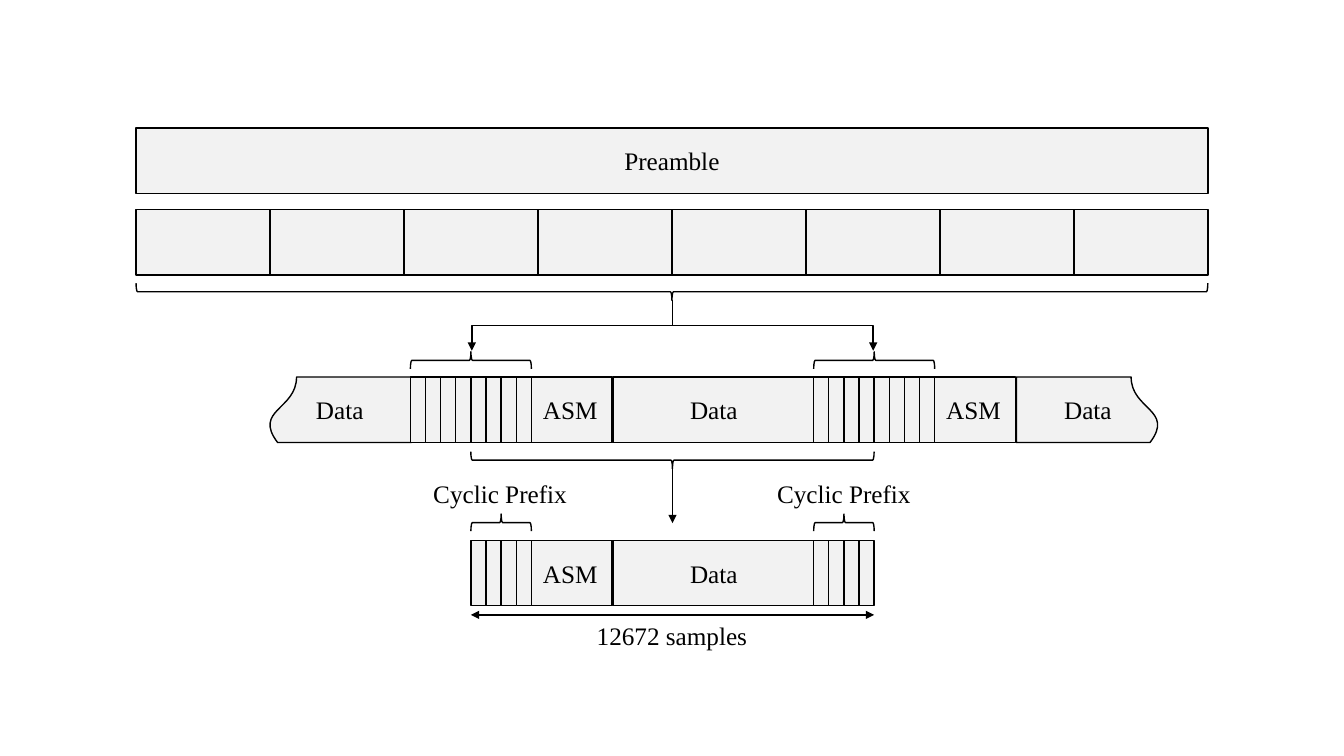
import pptx
import pptx.util
import pptx.dml.color
import pptx.enum.shapes
import pptx.enum.text
import pptx.oxml
import pptx.oxml.ns

Inches = pptx.util.Inches
Shapes = pptx.enum.shapes.MSO_SHAPE
Connectors = pptx.enum.shapes.MSO_CONNECTOR
COLORS = {"block": "F2F2F2", "ink": "000000"}
FONT = "Times New Roman"
BLOCK_HEIGHT = 0.65
CELL_WIDTH = 0.15
BRACE_DEPTH = 0.17
CENTER = 6.67
STREAM_TOP = 3.74
SYMBOL_TOP = 5.36


def color(name):
    """Return a named colour."""
    return pptx.dml.color.RGBColor.from_string(COLORS[name])


def set_line(item):
    """Give a shape or connector the thin dark line."""
    item.line.color.rgb = color("ink")
    item.line.width = pptx.util.Pt(1)


def write(shape, text, size=18, wrap=True):
    """Put one centred line of text in a shape."""
    frame = shape.text_frame
    frame.word_wrap = wrap
    para = frame.paragraphs[0]
    para.alignment = pptx.enum.text.PP_ALIGN.CENTER
    span = para.add_run()
    span.text = text
    span.font.size = pptx.util.Pt(size)
    span.font.name = FONT
    span.font.color.rgb = color("ink")


def add_shape(page, kind, left, top, width, height, filled=True):
    """Add an outlined preset shape."""
    shape = page.shapes.add_shape(kind, Inches(left), Inches(top), Inches(width), Inches(height))
    shape.shadow.inherit = False
    if filled:
        shape.fill.solid()
        shape.fill.fore_color.rgb = color("block")
    else:
        shape.fill.background()
    set_line(shape)
    return shape


def add_turned(page, kind, left, top, width, height, rotation, filled=True):
    """Add a quarter-turned shape that covers the given area."""
    shape = add_shape(page, kind, left + (width - height) / 2, top + (height - width) / 2,
                      height, width, filled)
    shape.rotation = rotation
    return shape


def add_block(page, left, top, width, text=""):
    """Add a block of the frame, with a label if there is one."""
    block = add_shape(page, Shapes.RECTANGLE, left, top, width, BLOCK_HEIGHT)
    if text:
        block.text_frame.vertical_anchor = pptx.enum.text.MSO_ANCHOR.MIDDLE
        write(block, text)


def add_cells(page, left, top, count, width=CELL_WIDTH):
    """Add a run of equal empty blocks."""
    for index in range(count):
        add_block(page, left + index * width, top, width)


def add_brace(page, left, top, width, points_up):
    """Add a horizontal brace."""
    add_turned(page, Shapes.LEFT_BRACE, left, top, width, BRACE_DEPTH,
               90 if points_up else 270, filled=False)


def add_torn_block(page, left, width, label_left, at_start):
    """Add a data block whose outer edge is wavy."""
    block = add_turned(page, Shapes.FLOWCHART_DOCUMENT, left, STREAM_TOP, width, BLOCK_HEIGHT,
                       90 if at_start else 270)
    if at_start:
        block._element.spPr.xfrm.set("flipH", "1")
    add_label(page, "Data", label_left, 3.86, 0.68)


def add_label(page, text, left, top, width):
    """Add a free label."""
    box = page.shapes.add_textbox(Inches(left), Inches(top), Inches(width), Inches(0.4))
    write(box, text, wrap=False)


def add_arrow(page, start, end, kind=Connectors.STRAIGHT, both=False):
    """Add a connector with a triangle at its end, or at both ends."""
    arrow = page.shapes.add_connector(kind, *(Inches(value) for value in (*start, *end)))
    set_line(arrow)
    line = arrow.line._get_or_add_ln()
    for name in ("headEnd", "tailEnd") if both else ("tailEnd",):
        head = line.makeelement(pptx.oxml.ns.qn("a:" + name), {"type": "triangle"})
        line.append(head)
    properties = arrow._element.spPr
    properties.append(properties.makeelement(pptx.oxml.ns.qn("a:effectLst"), {}))
    return arrow


def add_drop_arrow(page, start, end):
    """Add an elbow arrow that leaves and arrives vertically."""
    middle_x, middle_y = (start[0] + end[0]) / 2, (start[1] + end[1]) / 2
    half_span = abs(end[0] - start[0]) / 2
    goes_left = end[0] < start[0]
    half_drop = (end[1] - start[1]) / 2 * (1 if goes_left else -1)
    arrow = add_arrow(page, (middle_x - half_drop, middle_y - half_span),
                      (middle_x + half_drop, middle_y + half_span), Connectors.ELBOW)
    arrow._element.spPr.xfrm.set("rot", str((90 if goes_left else 270) * 60000))


def add_preamble(page):
    """Draw the preamble and its eight parts."""
    left, width, parts = 1.35, 10.63, 8
    add_cells(page, left, 2.08, parts, width / parts)
    add_block(page, left, 1.27, width, "Preamble")
    add_brace(page, left, 2.81, width, points_up=False)


def add_stream(page):
    """Draw the stream of preambles, markers and data."""
    for left in (5.24, 9.24):
        add_block(page, left, STREAM_TOP, 0.83, "ASM")
    add_block(page, 6.08, STREAM_TOP, 2, "Data")
    add_torn_block(page, 10.08, 1.42, 10.45, at_start=False)
    add_torn_block(page, 2.66, 1.42, 3.03, at_start=True)
    for left, tip in ((4.07, 4.68), (8.07, 8.66)):
        add_cells(page, left, STREAM_TOP, 8)
        add_brace(page, left, 3.49, 8 * CELL_WIDTH, points_up=True)
        add_drop_arrow(page, (CENTER, 2.98), (tip, 3.48))
    add_brace(page, 4.67, 4.48, 4, points_up=False)


def add_symbol(page):
    """Draw one symbol with its cyclic prefixes and length."""
    add_block(page, 5.24, SYMBOL_TOP, 0.83, "ASM")
    add_block(page, 6.08, SYMBOL_TOP, 2, "Data")
    for left, label_left in ((4.67, 4.19), (8.07, 7.6)):
        add_cells(page, left, SYMBOL_TOP, 4)
        add_brace(page, left, 5.1, 4 * CELL_WIDTH, points_up=True)
        add_label(page, "Cyclic Prefix", label_left, 4.7, 1.54)
    add_arrow(page, (CENTER, 4.64), (CENTER, 5.19))
    add_arrow(page, (4.67, 6.1), (8.67, 6.1), both=True)
    add_label(page, "12672 samples", 5.75, 6.1, 1.83)


def main():
    """Build the slide and save it."""
    deck = pptx.Presentation()
    deck.slide_width = Inches(13.33)
    deck.slide_height = Inches(7.5)
    page = deck.slides.add_slide(deck.slide_layouts[6])
    add_preamble(page)
    add_stream(page)
    add_symbol(page)
    deck.save("out.pptx")


if __name__ == "__main__":
    main()
